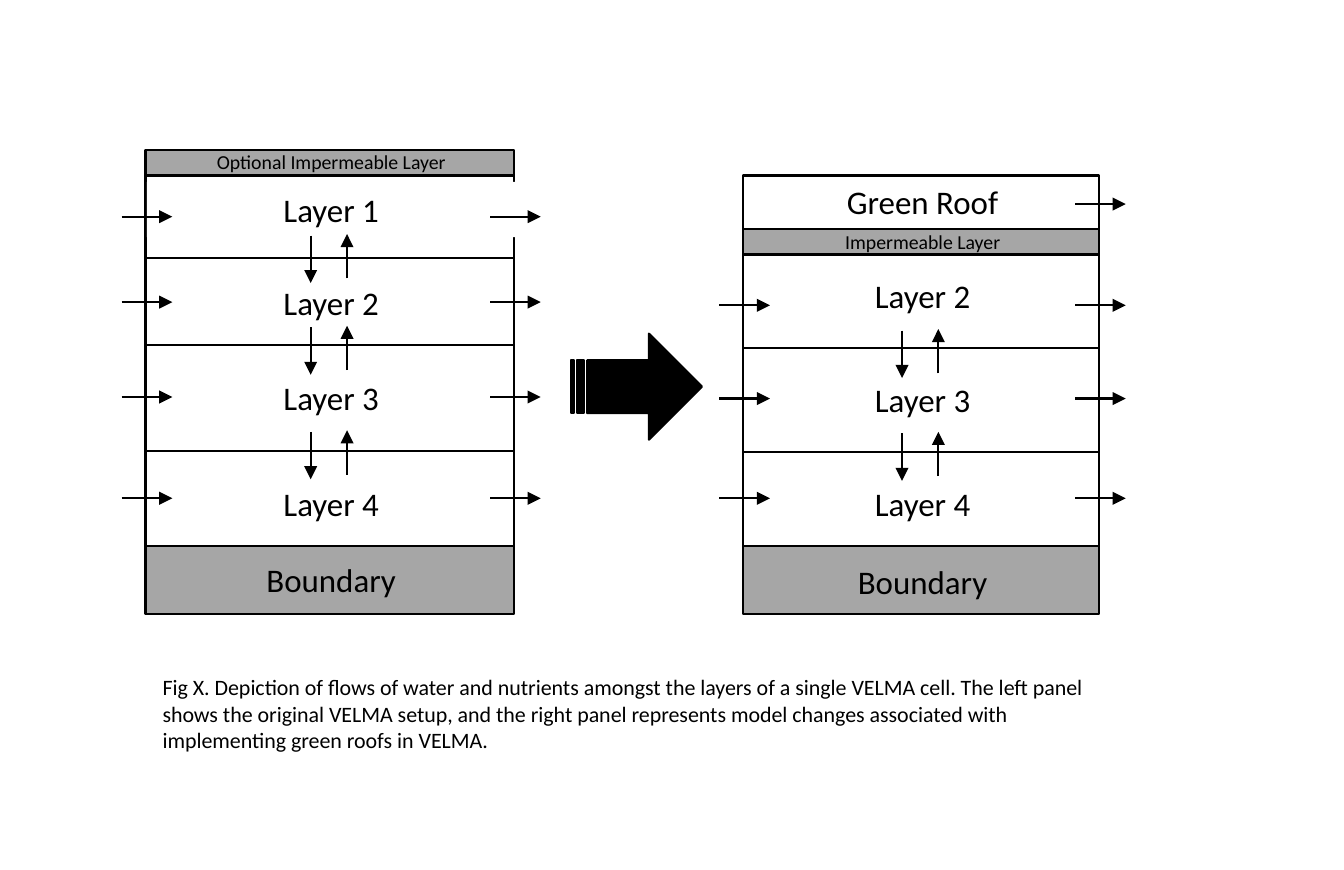
import collections

import pptx
import pptx.dml.color
import pptx.enum.shapes
import pptx.enum.text
import pptx.oxml
import pptx.oxml.ns
import pptx.util

Inches = pptx.util.Inches
Shape = pptx.enum.shapes.MSO_SHAPE
Align = pptx.enum.text.PP_ALIGN
BLACK = pptx.dml.color.RGBColor(0x00, 0x00, 0x00)
WHITE = pptx.dml.color.RGBColor(0xFF, 0xFF, 0xFF)
GRAY = pptx.dml.color.RGBColor(0xA6, 0xA6, 0xA6)
FONT = "Calibri"

Box = collections.namedtuple("Box", "left top width height")
Layer = collections.namedtuple(
    "Layer", "name top label_top fill size label_fill", defaults=(WHITE, 15, None))

CAPTION = ("Fig X. Depiction of flows of water and nutrients amongst the layers of a "
           "single VELMA cell. The left panel shows the original VELMA setup, and the "
           "right panel represents model changes associated with implementing green "
           "roofs in VELMA.")


def add_block(page, kind, box, fill):
    """Add a filled preset shape with a thin black outline."""
    block = page.shapes.add_shape(kind, *map(Inches, box))
    block.shadow.inherit = False
    block.fill.solid()
    block.fill.fore_color.rgb = fill
    block.line.color.rgb = BLACK
    block.line.width = pptx.util.Pt(1)


def add_text(page, box, text, size, align, fill=None):
    """Add a wrapped one-paragraph text box, optionally filled."""
    label = page.shapes.add_textbox(*map(Inches, box))
    if fill is not None:
        label.fill.solid()
        label.fill.fore_color.rgb = fill
    label.text_frame.word_wrap = True
    label.text_frame.text = text
    para = label.text_frame.paragraphs[0]
    para.alignment = align
    span = para.runs[0]
    span.font.name = FONT
    span.font.size = pptx.util.Pt(size)
    span.font.color.rgb = BLACK


def add_arrow(page, start_x, start_y, end_x, end_y):
    """Add a straight black line with a triangular head at its end."""
    arrow = page.shapes.add_connector(
        pptx.enum.shapes.MSO_CONNECTOR.STRAIGHT,
        *map(Inches, (start_x, start_y, end_x, end_y)))
    arrow.line.color.rgb = BLACK
    arrow.line.width = pptx.util.Pt(1)
    head = pptx.oxml.parse_xml(
        f'<a:tailEnd {pptx.oxml.ns.nsdecls("a")} type="triangle"/>')
    arrow.line._get_or_add_ln().append(head)
    arrow._element.spPr.append(
        pptx.oxml.parse_xml(f'<a:effectLst {pptx.oxml.ns.nsdecls("a")}/>'))


def add_cell_panel(page, box, layers, inflows, outflows, exchanges):
    """Stack the soil layers in the box and draw flows between and beside them."""
    bottoms = [layer.top for layer in layers[1:]] + [box.height]
    for layer, bottom in zip(layers, bottoms):
        band = Box(box.left, box.top + layer.top, box.width, bottom - layer.top)
        add_block(page, Shape.RECTANGLE, band, layer.fill)
    for layer in layers:
        height = layer.size * 1.2 / 72 + 0.1
        label = Box(box.left + 0.01, box.top + layer.label_top, box.width, height)
        add_text(page, label, layer.name, layer.size, Align.CENTER, layer.label_fill)
    for edge, flows in ((box.left, inflows), (box.left + box.width, outflows)):
        for offset in flows:
            height = box.top + offset
            add_arrow(page, edge - 0.15, height, edge + 0.17, height)
    center = box.left + box.width / 2
    for offset in exchanges:
        top = box.top + offset
        add_arrow(page, center - 0.12, top, center - 0.12, top + 0.3)
        add_arrow(page, center + 0.11, top + 0.27, center + 0.11, top - 0.01)


def build_slide(page):
    """Place both cell panels, the transition arrow and the caption."""
    original_layers = [
        Layer("Optional Impermeable Layer", 0, -0.05, GRAY, 9),
        Layer("Layer 1", 0.16, 0.2, label_fill=WHITE),
        Layer("Layer 2", 0.68, 0.79),
        Layer("Layer 3", 1.23, 1.39),
        Layer("Layer 4", 1.9, 2.06),
        Layer("Boundary", 2.5, 2.54, GRAY),
    ]
    green_roof_layers = [
        Layer("Green Roof", 0, -0.01),
        Layer("Impermeable Layer", 0.34, 0.29, GRAY, 9),
        Layer("Layer 2", 0.5, 0.58),
        Layer("Layer 3", 1.09, 1.24),
        Layer("Layer 4", 1.75, 1.9),
        Layer("Boundary", 2.34, 2.39, GRAY),
    ]
    side_flows = [0.42, 0.96, 1.56, 2.2]
    roof_flows = [0.18, 0.82, 1.41, 2.04]
    add_cell_panel(page, Box(0.92, 0.95, 2.33, 2.93), original_layers,
                   side_flows, side_flows, [0.54, 1.12, 1.78])
    add_cell_panel(page, Box(4.7, 1.11, 2.25, 2.77), green_roof_layers,
                   roof_flows[1:], roof_flows, [0.98, 1.63])
    add_block(page, Shape.STRIPED_RIGHT_ARROW, Box(3.61, 2.11, 0.83, 0.67), BLACK)
    add_text(page, Box(0.93, 4.21, 6.16, 0.61), CAPTION, 10, Align.LEFT)


deck = pptx.Presentation()
deck.slide_width = Inches(8.5)
deck.slide_height = Inches(5.5)
build_slide(deck.slides.add_slide(deck.slide_layouts[6]))
deck.save("out.pptx")
